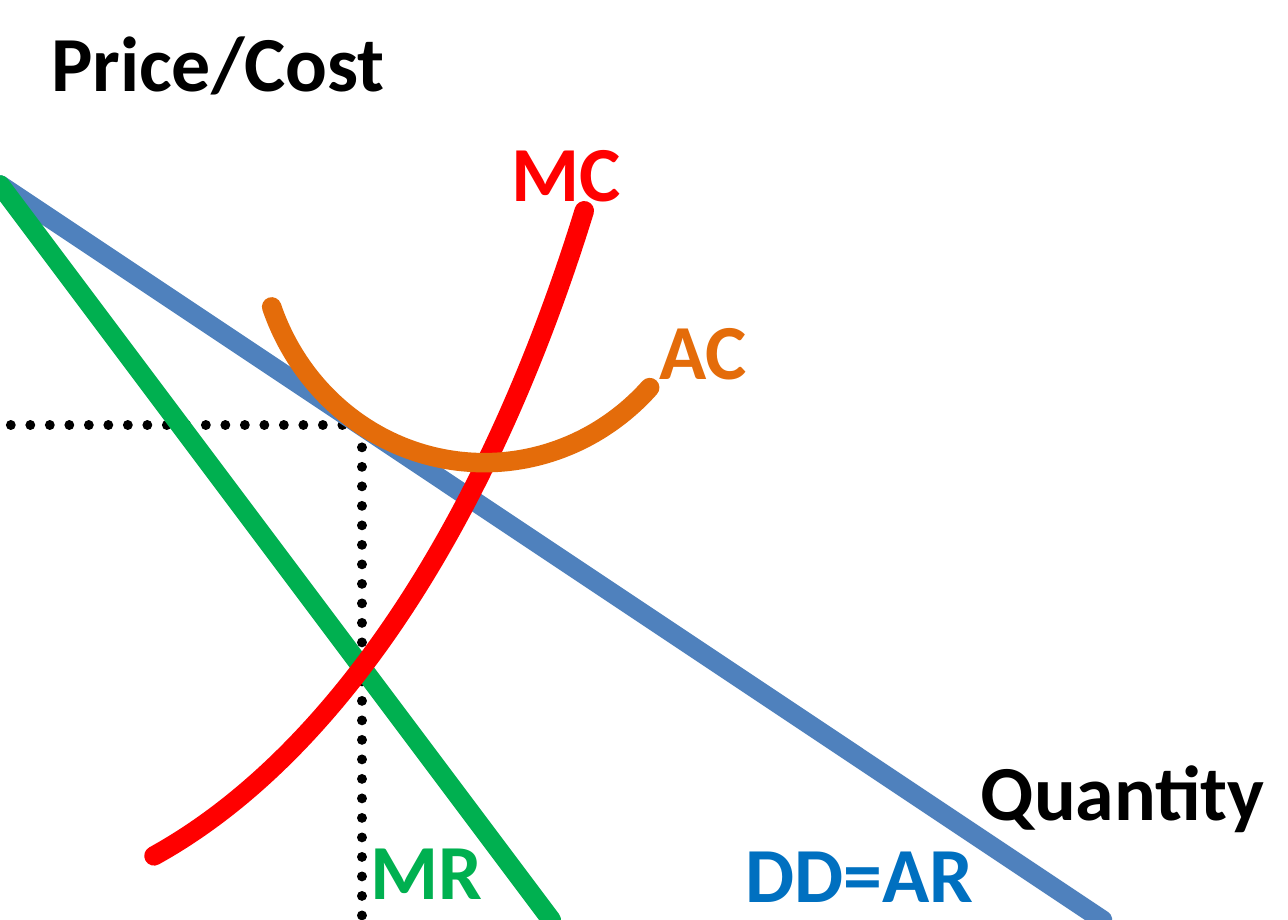
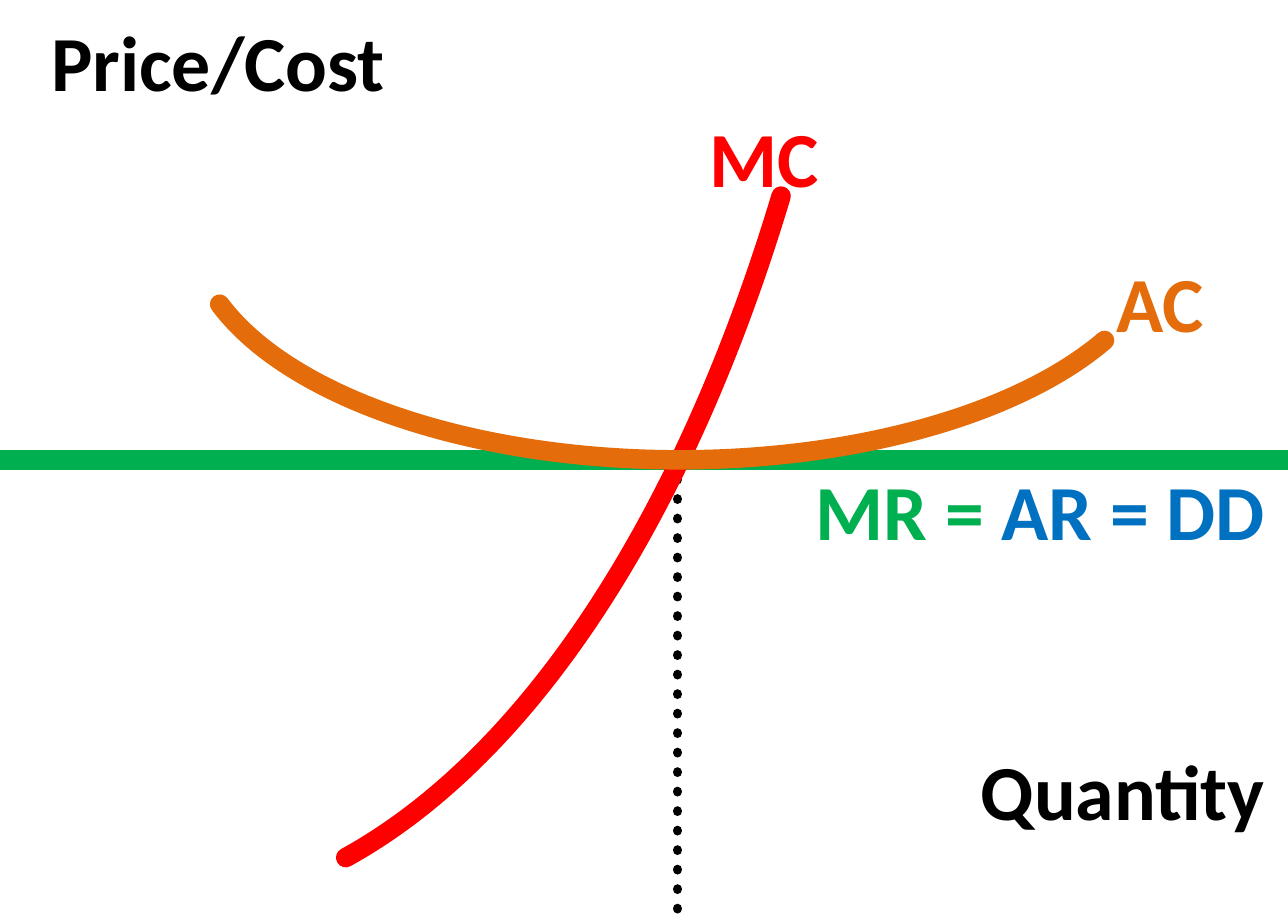
"""Builds two cost and revenue diagrams: a sloping demand curve and a level one."""
import pptx
import pptx.dml.color
import pptx.enum.dml
import pptx.enum.shapes
import pptx.enum.text
import pptx.oxml.ns
import pptx.util
from lxml import etree

BLACK = pptx.dml.color.RGBColor(0x00, 0x00, 0x00)
RED = pptx.dml.color.RGBColor(0xFF, 0x00, 0x00)
ORANGE = pptx.dml.color.RGBColor(0xE4, 0x6C, 0x0A)
GREEN = pptx.dml.color.RGBColor(0x00, 0xB0, 0x50)
STEEL = pptx.dml.color.RGBColor(0x4F, 0x81, 0xBD)
BLUE = pptx.dml.color.RGBColor(0x00, 0x70, 0xC0)

LEFT = pptx.enum.text.PP_ALIGN.LEFT
RIGHT = pptx.enum.text.PP_ALIGN.RIGHT
LABEL_FONT = {"name": "Calibri", "size": pptx.util.Pt(24), "bold": True}
LABEL_FRAME = {"word_wrap": False, "auto_size": pptx.enum.text.MSO_AUTO_SIZE.SHAPE_TO_FIT_TEXT}
LABEL_HEIGHT = 12.7
DEGREE = 0.6

CURVE = {"width": pptx.util.Pt(6)}
GUIDE = {"width": pptx.util.Pt(3), "dash_style": pptx.enum.dml.MSO_LINE.ROUND_DOT}

MC_SIZE = (114.3, 320)
AXIS_LABELS = [
    (2.2, 0.25, 29.9, LEFT, [("Price/Cost", BLACK)]),
    (74, 79.5, 26, RIGHT, [("Quantity", BLACK)]),
]

DIAGRAMS = [
    {
        "lines": [
            (28.1, 46.2, 0, 46.2, BLACK, GUIDE),
            (28.1, 46.5, 28.1, 100, BLACK, GUIDE),
            (0, 20.1, 85.6, 100, STEEL, CURVE),
            (0, 20.1, 42.8, 100, GREEN, CURVE),
        ],
        "arcs": [
            (-60.4, -221.2, *MC_SIZE, 51.02, 82.14, RED),
            (20.1, -0.5, 35, 50.8, 43.78, 159.85, ORANGE),
        ],
        "labels": [
            (37.9, 12.2, 12.3, LEFT, [("MC", RED)]),
            (49.4, 31.5, 10.5, LEFT, [("AC", ORANGE)]),
            (27, 88.1, 12.5, LEFT, [("MR", GREEN)]),
            (56.1, 88.4, 21.6, LEFT, [("DD=AR", BLUE)]),
        ],
    },
    {
        "lines": [
            (52.6, 50, 52.6, 100, BLACK, GUIDE),
            (0, 50, 100, 50, GREEN, CURVE),
        ],
        "arcs": [
            (-45.5, -221, *MC_SIZE, 50.19, 82.14, RED),
            (14.9, -0.8, 75.7, 50.8, 15.04, 170.37, ORANGE),
        ],
        "labels": [
            (61.2, 49, 38.8, RIGHT, [("MR = ", GREEN), ("AR = DD", BLUE)]),
            (53.3, 10.7, 12.3, LEFT, [("MC", RED)]),
            (84.9, 26.4, 10.5, LEFT, [("AC", ORANGE)]),
        ],
    },
]

deck = pptx.Presentation()
deck.slide_width = pptx.util.Cm(14)
deck.slide_height = pptx.util.Cm(10)


def place(*percents):
    """Turn alternating x and y percentages into slide lengths."""
    sides = (deck.slide_width, deck.slide_height)
    return [round(sides[i % 2] * percent / 100) for i, percent in enumerate(percents)]


def draw_stroke(stroke, colour, style):
    """Give a line or arc its colour, style and round ends, without a shadow."""
    stroke.line.color.rgb = colour
    for key, value in style.items():
        setattr(stroke.line, key, value)
    properties = stroke._element.spPr
    properties.find(pptx.oxml.ns.qn("a:ln")).set("cap", "rnd")
    etree.SubElement(properties, pptx.oxml.ns.qn("a:effectLst"))


for diagram in DIAGRAMS:
    slide = deck.slides.add_slide(deck.slide_layouts[6])

    for *ends, colour, style in diagram["lines"]:
        line = slide.shapes.add_connector(pptx.enum.shapes.MSO_CONNECTOR.STRAIGHT, *place(*ends))
        draw_stroke(line, colour, style)

    for *box, start, end, colour in diagram["arcs"]:
        arc = slide.shapes.add_shape(pptx.enum.shapes.MSO_SHAPE.ARC, *place(*box))
        arc.adjustments[0] = start * DEGREE
        arc.adjustments[1] = end * DEGREE
        arc.fill.background()
        draw_stroke(arc, colour, CURVE)

    for left, top, width, alignment, parts in AXIS_LABELS + diagram["labels"]:
        frame = slide.shapes.add_textbox(*place(left, top, width, LABEL_HEIGHT)).text_frame
        for key, value in LABEL_FRAME.items():
            setattr(frame, key, value)
        paragraph = frame.paragraphs[0]
        paragraph.alignment = alignment
        for text, colour in parts:
            run = paragraph.add_run()
            run.text = text
            run.font.color.rgb = colour
            for key, value in LABEL_FONT.items():
                setattr(run.font, key, value)

deck.save("out.pptx")
